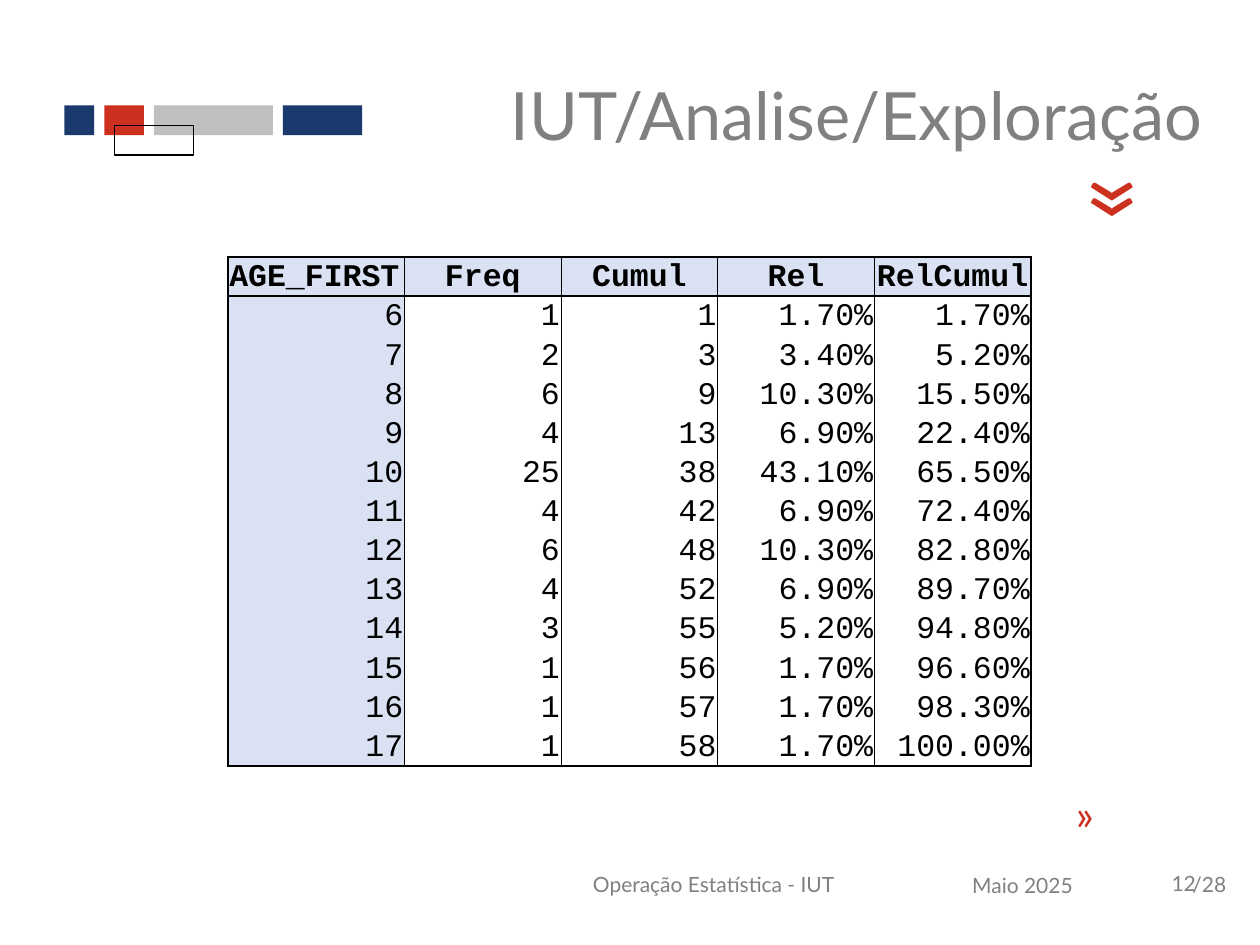
"""Build the age frequency table slide."""
from lxml import etree
from pptx import Presentation
from pptx.dml.color import RGBColor
from pptx.enum.shapes import MSO_SHAPE
from pptx.enum.text import MSO_ANCHOR, PP_ALIGN
from pptx.oxml.ns import qn
from pptx.util import Pt

RECT = MSO_SHAPE.RECTANGLE
TOP, MID, BASE = MSO_ANCHOR.TOP, MSO_ANCHOR.MIDDLE, MSO_ANCHOR.BOTTOM
LEFT, MIDDLE, RIGHT = PP_ALIGN.LEFT, PP_ALIGN.CENTER, PP_ALIGN.RIGHT
HEX = {"navy": "1A3A6E", "red": "CC301F", "silver": "C0C0C0",
       "gray": "808080", "black": "000000", "pale": "D9E1F2"}
RGB = {name: RGBColor.from_string(code) for name, code in HEX.items()}


def write(frame, text, size, color, align=LEFT, font="Lato", bold=False):
    para = frame.paragraphs[0]
    para.alignment = align
    run = para.add_run()
    run.text = text
    run.font.name = font
    run.font.size = Pt(size)
    run.font.bold = bold
    run.font.color.rgb = RGB[color]


def border(cell, side, width):
    line = etree.SubElement(cell._tc.get_or_add_tcPr(), qn("a:ln" + side))
    if width:
        line.set("w", str(Pt(width)))
        fill = etree.SubElement(line, qn("a:solidFill"))
        etree.SubElement(fill, qn("a:srgbClr"), val=HEX["black"])
    else:
        etree.SubElement(line, qn("a:noFill"))


deck = Presentation()
deck.slide_width, deck.slide_height = Pt(720), Pt(540)
slide = deck.slides.add_slide(deck.slide_layouts[6])
shapes = slide.shapes

bars = [(36.8, 60.3, 17, "navy"), (59.6, 60.3, 22.6, "red"),
        (87.9, 60.3, 68.1, "silver"), (161.6, 60.3, 45.4, "navy"),
        (65.4, 71.6, 45.4, None)]
for x, y, width, color in bars:
    bar = shapes.add_shape(RECT, Pt(x), Pt(y), Pt(width), Pt(17))
    bar.shadow.inherit = False
    if color:
        bar.fill.solid()
        bar.fill.fore_color.rgb = RGB[color]
        bar.line.fill.background()
    else:
        bar.fill.background()
        bar.line.color.rgb = RGB["black"]
        bar.line.width = Pt(0.75)

labels = [
    ("/28", (655.2, 485.3, 67.7, 39.6), 12, "gray", LEFT, MID, 26.2, 3.6, 0),
    ("Operação Estatística - IUT", (297.4, 485.3, 221, 39.6),
     12, "gray", MIDDLE, MID, 7.2, 3.6, 0),
    ("Maio 2025", (518.4, 486, 131.8, 39.6), 12, "gray", MIDDLE, MID, 7.2, 3.6, 0),
    ("»", (607.7, 447.1, 36.7, 36), 24, "red", LEFT, TOP, 7.2, 3.6, 0),
    ("»", (612, 74.2, 39.6, 79.2), 60, "red", LEFT, BASE, 7.2, 15.5, 90),
    ("12", (662.4, 493.9, 31.7, 21.6), 12, "gray", LEFT, TOP, 7.2, 3.6, 0),
    ("IUT/Analise/Exploração", (218.2, 31.7, 475.9, 67),
     38, "gray", RIGHT, MID, 7.2, 3.6, 0),
]
for text, place, size, color, align, anchor, inset, foot, turn in labels:
    box = shapes.add_textbox(*map(Pt, place))
    box.rotation = turn
    frame = box.text_frame
    frame.word_wrap = True
    frame.vertical_anchor = anchor
    frame.margin_left = Pt(inset)
    frame.margin_bottom = Pt(foot)
    write(frame, text, size, color, align)

rows = [
    ("AGE_FIRST", "Freq", "Cumul", "Rel", "RelCumul"),
    ("6", "1", "1", "1.70%", "1.70%"),
    ("7", "2", "3", "3.40%", "5.20%"),
    ("8", "6", "9", "10.30%", "15.50%"),
    ("9", "4", "13", "6.90%", "22.40%"),
    ("10", "25", "38", "43.10%", "65.50%"),
    ("11", "4", "42", "6.90%", "72.40%"),
    ("12", "6", "48", "10.30%", "82.80%"),
    ("13", "4", "52", "6.90%", "89.70%"),
    ("14", "3", "55", "5.20%", "94.80%"),
    ("15", "1", "56", "1.70%", "96.60%"),
    ("16", "1", "57", "1.70%", "98.30%"),
    ("17", "1", "58", "1.70%", "100.00%"),
]
widths = [100.8] + [89.5] * 4
height = 22.38
last = len(rows) - 1
edges = [1, 1, 0.5, 0.5, 0.5, 1]
holder = shapes.add_table(len(rows), len(widths), Pt(130.3), Pt(146.9),
                          Pt(sum(widths)), Pt(height * len(rows)))
table = holder.table
table.first_row = table.horz_banding = False
style = table._tbl.tblPr.find(qn("a:tableStyleId"))
style.text = "{2D5ABB26-0587-4C30-8999-92F81FD0307C}"
for col, width in zip(table.columns, widths):
    col.width = Pt(width)
for r, row in enumerate(rows):
    table.rows[r].height = Pt(height)
    for c, text in enumerate(row):
        cell = table.cell(r, c)
        cell.vertical_anchor = BASE
        cell.margin_left = cell.margin_right = cell.margin_top = Pt(0.72)
        cell.margin_bottom = Pt(0)
        border(cell, "L", edges[c])
        border(cell, "R", edges[c + 1])
        border(cell, "T", 1 if r < 2 else 0)
        border(cell, "B", 1 if r in (0, last) else 0)
        if r == 0 or c == 0:
            cell.fill.solid()
            cell.fill.fore_color.rgb = RGB["pale"]
        else:
            cell.fill.background()
        align = RIGHT if r else MIDDLE if c else LEFT
        write(cell.text_frame, text, 18, "black", align, "Courier New", r == 0)

deck.save("out.pptx")
